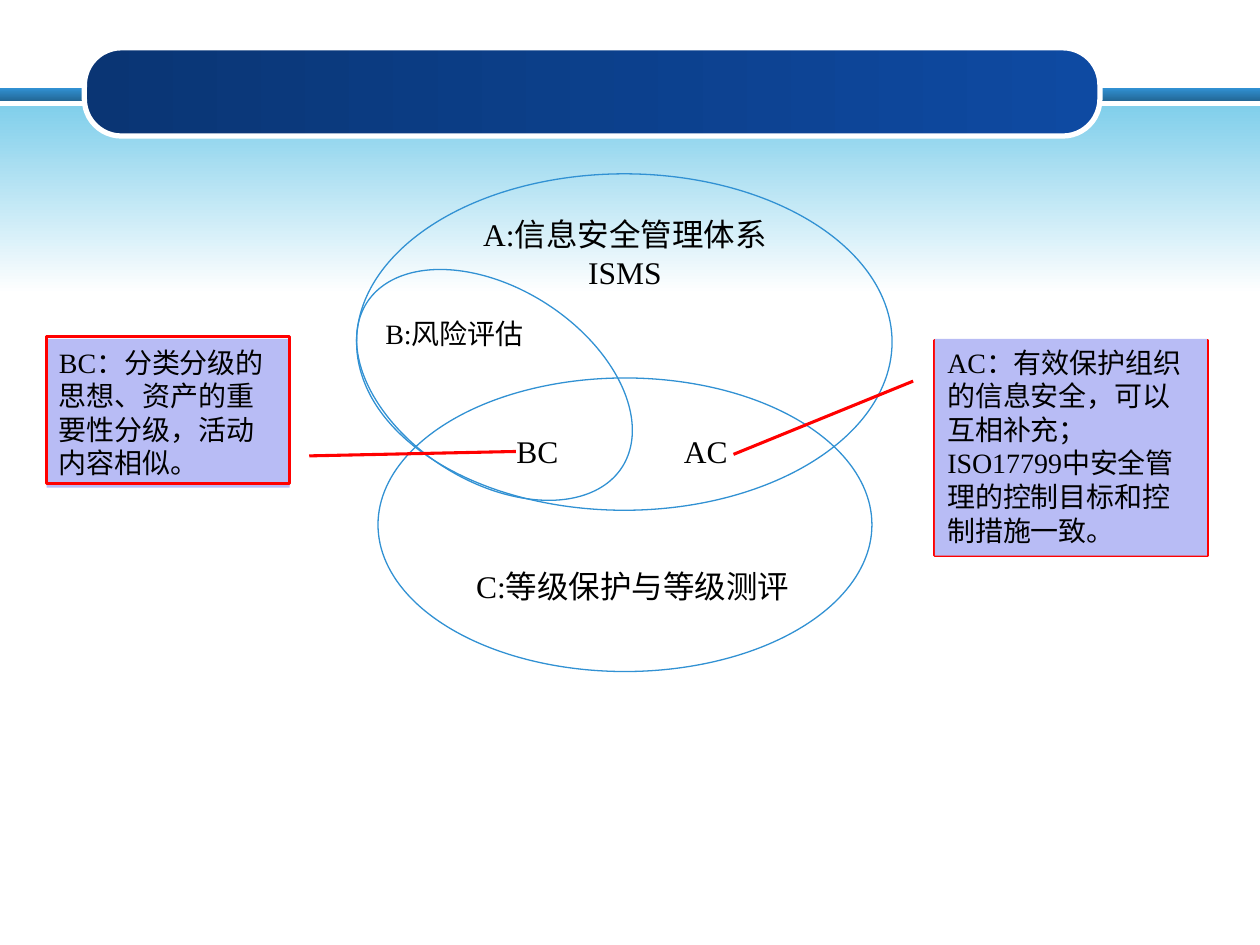
from pptx import Presentation
from pptx.dml.color import RGBColor
from pptx.enum.shapes import MSO_SHAPE
from pptx.enum.text import MSO_ANCHOR, MSO_AUTO_SIZE, PP_ALIGN
from pptx.util import Inches, Pt

COLORS = {
    "bar_top": "3191D3", "bar_bottom": "236897",
    "sky": "81CFEB", "white": "FFFFFF",
    "banner_left": "0A3574", "banner_right": "0E4AA2",
    "ellipse": "3191D3", "note": "B8BCF5", "callout": "FF0000", "text": "000000",
}

deck = Presentation()
deck.slide_width, deck.slide_height = Inches(10), Inches(7.5)
page = deck.slides.add_slide(deck.slide_layouts[6])


def add_shape(kind, place, fill=None, line=None, width=0.75):
    """Add a preset shape; fill is one colour name or a pair for a gradient."""
    shape = page.shapes.add_shape(kind, *map(Inches, place))
    shape.shadow.inherit = False
    if fill is None:
        shape.fill.background()
    elif isinstance(fill, tuple):
        shape.fill.gradient()
        for stop, name in zip(shape.fill.gradient_stops, fill):
            stop.color.rgb = RGBColor.from_string(COLORS[name])
    else:
        shape.fill.solid()
        shape.fill.fore_color.rgb = RGBColor.from_string(COLORS[fill])
    if line is None:
        shape.line.fill.background()
    else:
        shape.line.color.rgb = RGBColor.from_string(COLORS[line])
        shape.line.width = Pt(width)
    return shape


def write_text(box, lines, size, align=PP_ALIGN.LEFT):
    """Write one paragraph per line in a wrapped, top-anchored frame."""
    frame = box.text_frame
    frame_format = {"word_wrap": True, "vertical_anchor": MSO_ANCHOR.TOP,
                    "auto_size": MSO_AUTO_SIZE.SHAPE_TO_FIT_TEXT}
    for name, value in frame_format.items():
        setattr(frame, name, value)
    for index, line in enumerate(lines):
        para = frame.add_paragraph() if index else frame.paragraphs[0]
        para.alignment = align
        span = para.add_run()
        span.text = line
        for name, value in {"name": "Times New Roman", "size": Pt(size)}.items():
            setattr(span.font, name, value)
        span.font.color.rgb = RGBColor.from_string(COLORS["text"])


# Header bar, sky fade and banner
bar = add_shape(MSO_SHAPE.RECTANGLE, (0, 0.7, 10, 0.1), ("bar_top", "bar_bottom"))
sky = add_shape(MSO_SHAPE.RECTANGLE, (0, 0.84, 10, 1.49), ("sky", "white"))
for band in (bar, sky):
    band.fill.gradient_angle = 270
banner = add_shape(MSO_SHAPE.ROUNDED_RECTANGLE, (0.67, 0.38, 8.06, 0.7),
                   ("banner_left", "banner_right"), "white", 3)
banner.fill.gradient_angle = 0
banner.adjustments[0] = 0.42

# Overlapping ellipses A, C and B
for place, rotation in [
    ((2.83, 1.38, 4.25, 2.67), 0),
    ((3, 3, 3.92, 2.33), 0),
    ((3.16, 1.85, 1.53, 2.41), 302.8),
]:
    add_shape(MSO_SHAPE.OVAL, place, line="ellipse").rotation = rotation

# Labels of the sets and their overlaps
for place, lines, size, align in [
    ((3.42, 1.66, 3.08, 0.71), ["A:信息安全管理体系", "ISMS"], 18, PP_ALIGN.CENTER),
    ((2.96, 2.46, 1.54, 0.37), ["B:风险评估"], 16, PP_ALIGN.LEFT),
    ((4, 3.38, 0.75, 0.4), ["BC"], 18, PP_ALIGN.LEFT),
    ((3.68, 4.45, 2.83, 0.4), ["C:等级保护与等级测评"], 18, PP_ALIGN.LEFT),
    ((5.33, 3.38, 0.75, 0.4), ["AC"], 18, PP_ALIGN.LEFT),
]:
    write_text(page.shapes.add_textbox(*map(Inches, place)), lines, size, align)

# Note on BC, under its callout frame
bc_note = add_shape(MSO_SHAPE.RECTANGLE, (0.37, 2.69, 1.93, 1.18), "note")
write_text(bc_note, ["BC：分类分级的思想、资产的重要性分级，活动内容相似。"], 16)

# Callout frames with pointers to BC and AC
for place, rotation, pointer in [
    ((0.37, 2.67, 1.93, 1.17), 180, (0.19, -0.08, 0.22, -0.93)),
    ((7.42, 2.7, 2.16, 1.71), 0, (0.19, -0.08, 0.53, -0.74)),
]:
    callout = add_shape(MSO_SHAPE.LINE_CALLOUT_1, place, line="callout", width=1.75)
    callout.rotation = rotation
    for index, value in enumerate(pointer):
        callout.adjustments[index] = value

# Note on AC, over its callout frame
ac_note = add_shape(MSO_SHAPE.RECTANGLE, (7.42, 2.69, 2.16, 1.72), "note")
write_text(ac_note, ["AC：有效保护组织的信息安全，可以互相补充；"
                     "ISO17799中安全管理的控制目标和控制措施一致。"], 16)

deck.save("out.pptx")
